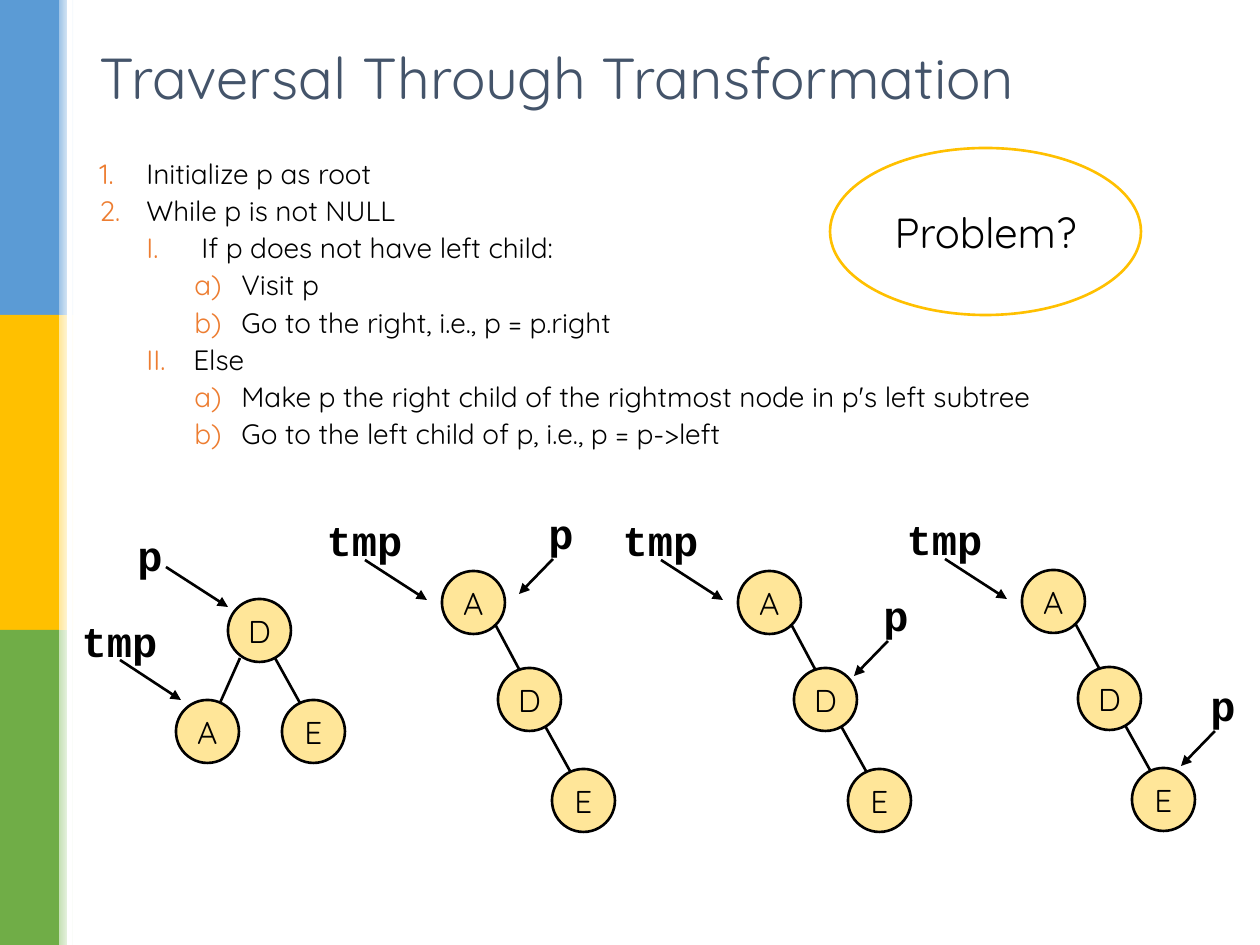
"""Build the slide on tree traversal through transformation."""
from lxml.etree import SubElement as Sub
from pptx import Presentation
from pptx.dml.color import RGBColor
from pptx.enum.shapes import MSO_CONNECTOR as Line, MSO_SHAPE as Shape
from pptx.enum.text import MSO_ANCHOR as Anchor, MSO_AUTO_SIZE as Auto, PP_ALIGN as Align
from pptx.oxml.ns import qn
from pptx.util import Pt

rgb = RGBColor.from_string


def emu(*nums):
    return [round(num * 914400 / 126) for num in nums]


def write(para, text, size=18, face="Quicksand", hue="000000", bold=False, align=Align.LEFT):
    para.alignment = align
    run = para.add_run()
    run.text = text
    font = run.font
    font.size, font.name, font.bold = Pt(size), face, bold
    font.color.rgb = rgb(hue)


deck = Presentation()
deck.slide_width, deck.slide_height = emu(1260, 945)
slide = deck.slides.add_slide(deck.slide_layouts[5])
shapes = slide.shapes

bars = [("5B9BD5", "9DC3E6"), ("FFC000", "FFE699"), ("70AD47", "C5E0B4")]
for row, (dark, pale) in enumerate(bars):
    bar = shapes.add_shape(Shape.RECTANGLE, *emu(0, row * 315, 59, 315))
    bar.fill.solid()
    bar.fill.fore_color.rgb = rgb(dark)
    fade = shapes.add_shape(Shape.RECTANGLE, *emu(59, row * 315, 15, 315))
    fade.fill.gradient()
    fade.fill.gradient_angle = 0
    for stop, hue in zip(fade.fill.gradient_stops, (pale, "FFFFFF")):
        stop.color.rgb = rgb(hue)
    for item in (bar, fade):
        item.line.fill.background()
        item.shadow.inherit = False
strip = shapes.add_shape(Shape.RECTANGLE, *emu(67, 0, 5, 945))
strip.fill.solid()
strip.fill.fore_color.rgb = rgb("FFFFFF")
strip.line.fill.background()
strip.shadow.inherit = False

title = shapes.title
title.left, title.top, title.width, title.height = emu(87, 33, 1086, 86)
frame = title.text_frame
frame.auto_size = Auto.NONE
frame.vertical_anchor = Anchor.MIDDLE
write(frame.paragraphs[0], "Traversal Through Transformation", size=33, hue="44546A")

steps = [
    (0, 47, 47, "Initialize p as root"),
    (0, 47, 47, "While p is not NULL"),
    (1, 102, 55, "If p does not have left child:"),
    (2, 142, 47, "Visit p"),
    (2, 142, 47, "Go to the right, i.e., p = p.right"),
    (1, 94, 47, "Else"),
    (2, 142, 47, "Make p the right child of the rightmost node in p's left subtree"),
    (2, 142, 47, "Go to the left child of p, i.e., p = p->left"),
]
marks = ["arabicPeriod", "romanUcPeriod", "alphaLcParenR"]
frame = shapes.add_textbox(*emu(87, 154, 1134, 355)).text_frame
frame.word_wrap = True
for row, (level, left, hang, text) in enumerate(steps):
    para = frame.add_paragraph() if row else frame.paragraphs[0]
    write(para, text, size=16)
    para.level = level
    para.line_spacing = 0.9
    para.space_before = Pt(4 if row else 0)
    props = para._p.get_or_add_pPr()
    left, hang = emu(left, hang)
    props.set("marL", str(left))
    props.set("indent", str(-hang))
    Sub(Sub(props, qn("a:buClr")), qn("a:srgbClr"), val="ED7D31")
    Sub(props, qn("a:buFont"), typeface="+mj-lt")
    Sub(props, qn("a:buAutoNum"), type=marks[level])

nodes = [("A", 176, 700), ("D", 228, 599), ("E", 282, 700)]
edges = [(240, 658, 220, 703), (275, 658, 300, 703)]
tags = [("p", 123, 523, 54), ("tmp", 57, 609, 125)]
arrows = [(166, 567, 228, 607), (120, 660, 181, 700)]
trees = [(442, 571, 534, 501), (738, 571, 869, 583), (1022, 570, 1196, 673)]
for x, y, px, py in trees:
    nodes += [("A", x, y), ("D", x + 56, y + 97), ("E", x + 110, y + 198)]
    edges += [(x + 53, y + 53, x + 77, y + 98), (x + 103, y + 155, x + 128, y + 200)]
    tags += [("tmp", x - 140, y - 63, 125), ("p", px, py, 54)]
    arrows += [(x - 77, y - 11, x - 15, y + 29), (px + 19, py + 58, px - 15, py + 93)]

rings = [(name, x, y, 63, 63, 18, "FFE699", "000000") for name, x, y in nodes]
rings.append(("Problem?", 830, 148, 311, 167, 24, "FFFFFF", "FFC000"))
for name, x, y, wide, high, size, fill, edge in rings:
    ring = shapes.add_shape(Shape.OVAL, *emu(x, y, wide, high))
    ring.shadow.inherit = False
    ring.fill.solid()
    ring.fill.fore_color.rgb = rgb(fill)
    ring.line.color.rgb = rgb(edge)
    ring.line.width = Pt(1.5)
    frame = ring.text_frame
    frame.word_wrap = False
    frame.vertical_anchor = Anchor.MIDDLE
    write(frame.paragraphs[0], name, size=size, align=Align.CENTER)

for name, x, y, wide in tags:
    frame = shapes.add_textbox(*emu(x, y, wide, 63)).text_frame
    frame.word_wrap = True
    write(frame.paragraphs[0], name, size=24, face="Courier New", bold=True, align=Align.CENTER)

for ends in edges + arrows:
    link = shapes.add_connector(Line.STRAIGHT, *emu(*ends))
    link.line.color.rgb = rgb("000000")
    link.line.width = Pt(1.5)
    if ends in arrows:
        Sub(link.line._get_or_add_ln(), qn("a:tailEnd"), type="triangle")
    Sub(link._element.spPr, qn("a:effectLst"))

deck.save("out.pptx")
